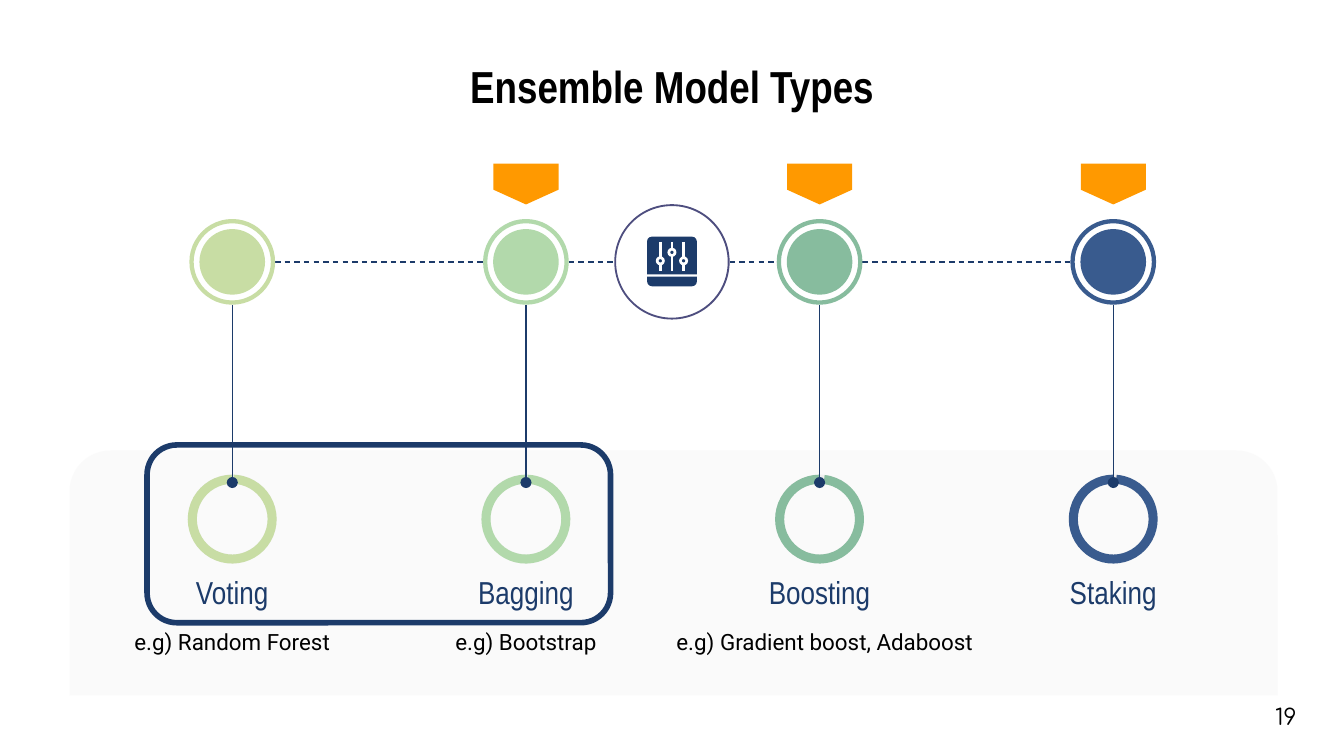
from dataclasses import dataclass
from itertools import pairwise

from lxml.etree import SubElement
from pptx import Presentation
from pptx.dml.color import RGBColor
from pptx.enum.dml import MSO_LINE_DASH_STYLE as Dash
from pptx.enum.shapes import MSO_CONNECTOR, MSO_SHAPE as Preset
from pptx.enum.text import MSO_ANCHOR as Anchor, PP_ALIGN as Align
from pptx.oxml.ns import qn
from pptx.util import Cm, Pt

NAVY = RGBColor(0x1C, 0x3B, 0x6A)
PURPLE = RGBColor(0x4E, 0x4E, 0x7F)
LIME = RGBColor(0xC8, 0xDD, 0xA4)
MINT = RGBColor(0xB2, 0xD9, 0xAB)
GREEN = RGBColor(0x87, 0xBC, 0x9E)
BLUE = RGBColor(0x39, 0x5B, 0x8E)
ORANGE = RGBColor(0xFF, 0x99, 0x00)
PANEL = RGBColor(0xF7, 0xF7, 0xF7)
TRACK = RGBColor(0xEF, 0xEF, 0xEF)
WHITE = RGBColor(0xFF, 0xFF, 0xFF)
BLACK = RGBColor(0, 0, 0)

# Layout in centimetres
FIRST_X, STEP_X = 4.39, 5.55
TIMELINE_Y, RING_Y = 4.95, 9.81
NODE_SIZE, CORE_SIZE, RING_SIZE = 1.62, 1.24, 1.68
HUB_X, HUB_SIZE = 12.7, 2.18
LABEL_WIDTH = 5.2


@dataclass
class Method:
    name: str
    color: RGBColor
    arc_start: float
    example: str = ""
    example_width: float = LABEL_WIDTH
    example_shift: float = 0
    flagged: bool = True


METHODS = [
    Method("Voting", LIME, 208.484, "e.g) Random Forest", flagged=False),
    Method("Bagging", MINT, 208.76, "e.g) Bootstrap"),
    Method("Boosting", GREEN, 211.307, "e.g) Gradient boost, Adaboost", 6.15, 0.1),
    Method("Staking", BLUE, 210.011),
]


def write(shape, text: str, *, size: float, font: str, color: RGBColor = BLACK,
          bold: bool = False, align=Align.CENTER) -> None:
    frame = shape.text_frame
    frame.word_wrap = True
    frame.vertical_anchor = Anchor.MIDDLE
    frame.margin_left = frame.margin_right = Cm(0.25)
    frame.margin_top = frame.margin_bottom = Cm(0.25)
    paragraph = frame.paragraphs[0]
    paragraph.alignment = align
    run = paragraph.add_run()
    run.text = text
    run.font.size, run.font.name, run.font.bold = Pt(size), font, bold
    run.font.color.rgb = color


def add_text(slide, x: float, y: float, width: float, height: float,
             text: str, **style) -> None:
    """Text box centred on x, y."""
    box = slide.shapes.add_textbox(Cm(x - width / 2), Cm(y - height / 2),
                                   Cm(width), Cm(height))
    write(box, text, **style)


def add_solid(slide, preset, x: float, y: float, width: float, height: float,
              color: RGBColor | None, *, adjust=(), rotation: float = 0):
    """Borderless shape centred on x, y; no fill when color is None."""
    shape = slide.shapes.add_shape(preset, Cm(x - width / 2), Cm(y - height / 2),
                                   Cm(width), Cm(height))
    shape.shadow.inherit = False
    shape.line.fill.background()
    if color is None:
        shape.fill.background()
    else:
        shape.fill.solid()
        shape.fill.fore_color.rgb = color
    for index, value in enumerate(adjust):
        shape.adjustments[index] = value
    shape.rotation = rotation
    return shape


def add_line(slide, x1: float, y1: float, x2: float, y2: float, *,
             color: RGBColor = NAVY, width: float = 0.75,
             dashed: bool = False, dot: bool = False) -> None:
    line = slide.shapes.add_connector(MSO_CONNECTOR.STRAIGHT,
                                      Cm(x1), Cm(y1), Cm(x2), Cm(y2))
    line.line.color.rgb = color
    line.line.width = Pt(width)
    if dashed:
        line.line.dash_style = Dash.DASH
    properties = line._element.spPr
    if dot:
        SubElement(properties.find(qn("a:ln")), qn("a:tailEnd"), type="oval")
    SubElement(properties, qn("a:effectLst"))


def add_method(slide, method: Method, x: float) -> None:
    # Timeline node
    add_solid(slide, Preset.DONUT, x, TIMELINE_Y, NODE_SIZE, NODE_SIZE,
              method.color, adjust=[0.05])
    add_solid(slide, Preset.OVAL, x, TIMELINE_Y, CORE_SIZE, CORE_SIZE, method.color)
    if method.flagged:
        add_solid(slide, Preset.PENTAGON, x, 3.48, 0.77, 1.23, ORANGE,
                  adjust=[0.362], rotation=90)
    # Ring in the panel, joined to the node
    add_solid(slide, Preset.DONUT, x, RING_Y, RING_SIZE, RING_SIZE, TRACK,
              adjust=[0.102])
    add_solid(slide, Preset.BLOCK_ARC, x, RING_Y, RING_SIZE, RING_SIZE, method.color,
              adjust=[method.arc_start, 207.006, 0.102], rotation=284.4)
    add_line(slide, x, TIMELINE_Y + NODE_SIZE / 2, x, 9.12, dot=True)
    # Captions
    add_text(slide, x, 11.19, LABEL_WIDTH, 1.2, method.name,
             size=17, font="Arial Narrow", color=NAVY)
    if method.example:
        add_text(slide, x + method.example_shift, 12.12, method.example_width, 1.48,
                 method.example, size=12, font="Roboto")


def add_hub(slide) -> None:
    add_solid(slide, Preset.DONUT, HUB_X, TIMELINE_Y, HUB_SIZE, HUB_SIZE, PURPLE,
              adjust=[0.016])
    # Mixer icon
    add_solid(slide, Preset.ROUND_2_SAME_RECTANGLE, HUB_X, 4.83, 0.94, 0.71, NAVY,
              adjust=[0.12, 0])
    add_solid(slide, Preset.ROUND_2_SAME_RECTANGLE, HUB_X, 5.32, 0.94, 0.18, NAVY,
              adjust=[0.5, 0], rotation=180)
    for offset, knob_y in ((-0.22, 4.93), (0, 4.77), (0.22, 4.93)):
        x = HUB_X + offset
        add_line(slide, x, 4.57, x, 5.13, color=WHITE, width=1.6)
        add_solid(slide, Preset.OVAL, x, knob_y, 0.17, 0.17, WHITE)
        add_solid(slide, Preset.OVAL, x, knob_y, 0.06, 0.06, NAVY)


def main() -> None:
    deck = Presentation()
    deck.slide_width = Cm(25.4)
    deck.slide_height = deck.slide_width * 9 // 16
    slide = deck.slides.add_slide(deck.slide_layouts[5])

    # Title
    title = slide.shapes.title
    title.left, title.top, title.width, title.height = Cm(0.5), Cm(0.82), Cm(24.4), Cm(1.6)
    write(title, "Ensemble Model Types", size=24, font="Arial Narrow", bold=True)

    # Translucent panel
    panel = add_solid(slide, Preset.ROUND_2_SAME_RECTANGLE, 12.73, 10.83, 22.83, 4.63,
                      PANEL, adjust=[0.167, 0])
    panel_color = panel._element.spPr.find(qn("a:solidFill"))[0]
    SubElement(panel_color, qn("a:alpha"), val="58000")

    # Timeline
    centres = [FIRST_X + STEP_X * index for index in range(len(METHODS))]
    stops = sorted([(x, NODE_SIZE / 2) for x in centres] + [(HUB_X, HUB_SIZE / 2)])
    for (start, start_radius), (end, end_radius) in pairwise(stops):
        add_line(slide, start + start_radius, TIMELINE_Y, end - end_radius, TIMELINE_Y,
                 dashed=True)
    add_hub(slide)
    for method, x in zip(METHODS, centres):
        add_method(slide, method, x)

    # Frame around the first two methods
    frame = add_solid(slide, Preset.ROUNDED_RECTANGLE, 7.16, 10.09, 8.76, 3.36, None,
                      adjust=[0.167])
    frame.line.color.rgb = NAVY
    frame.line.width = Pt(3)

    # Page number
    add_text(slide, 24.3, 13.54, 1.52, 1.09, "19", size=12, font="Comfortaa")

    deck.save("out.pptx")


if __name__ == "__main__":
    main()
